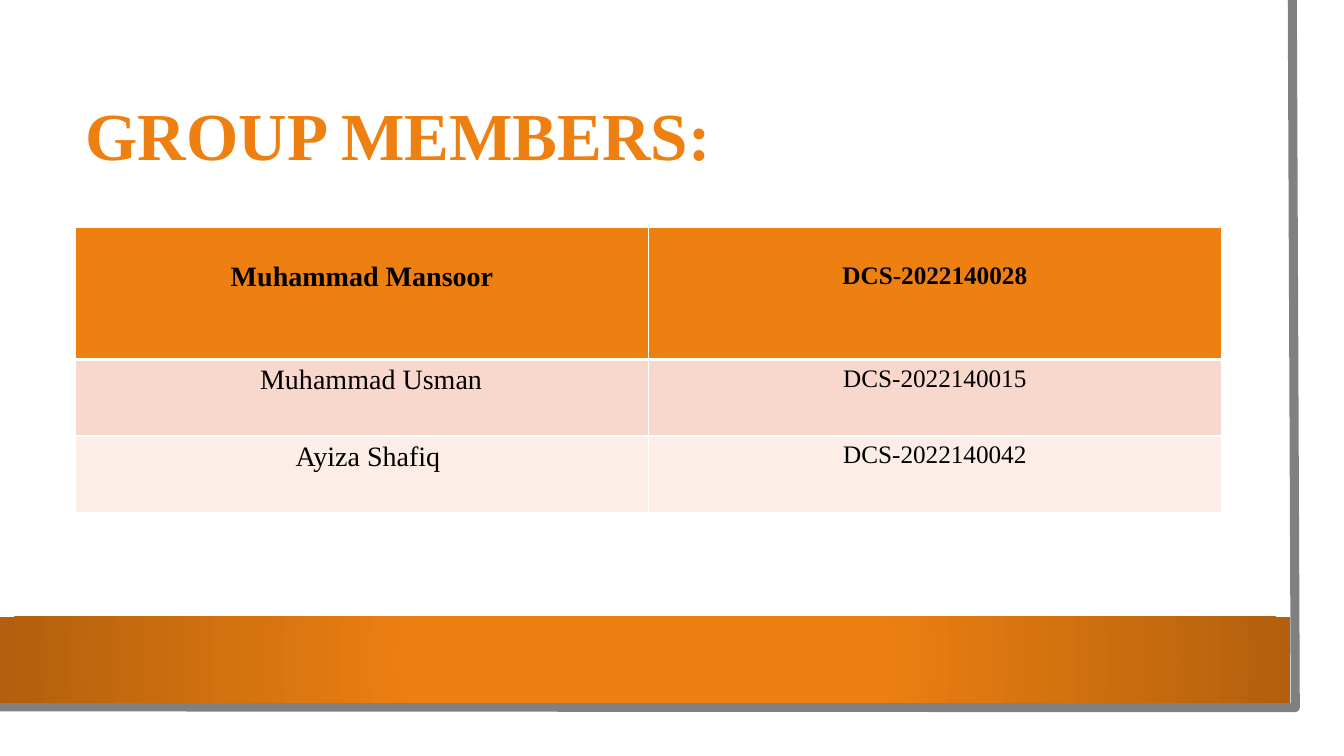
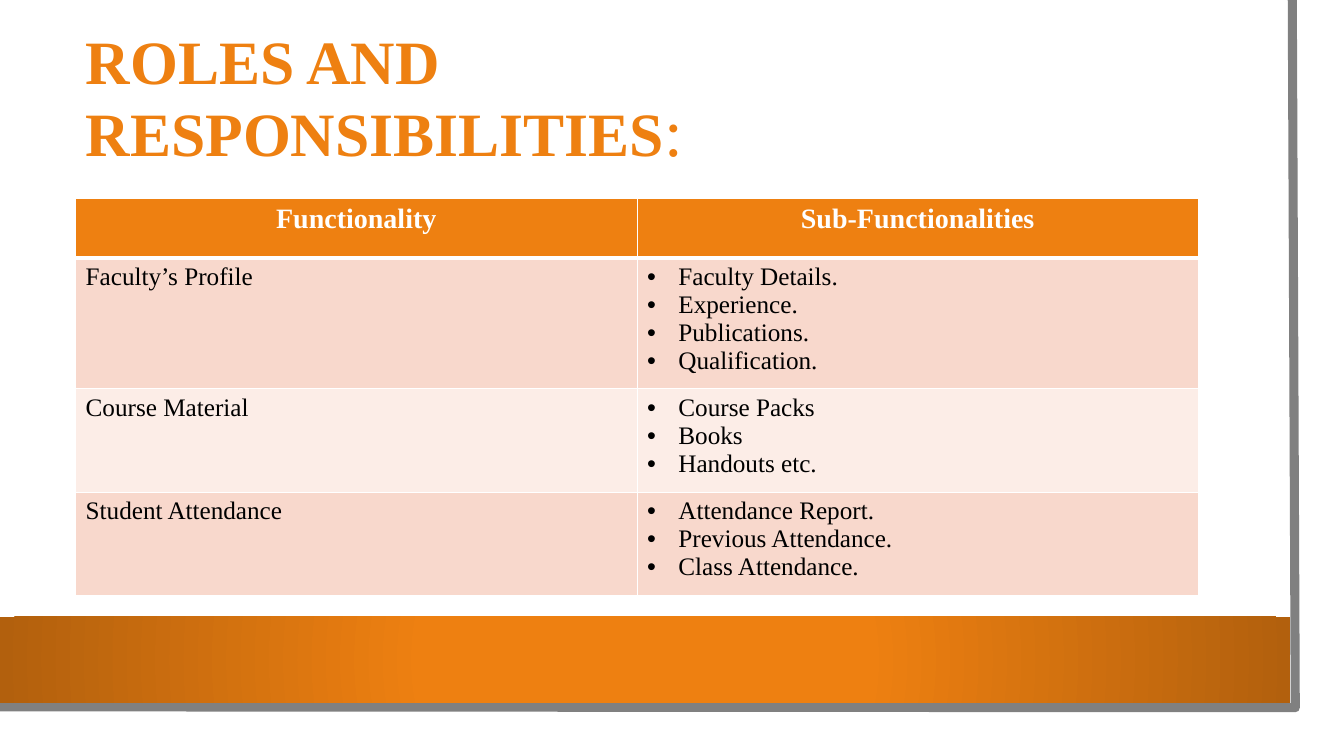
from dataclasses import dataclass

from pptx import Presentation
from pptx.dml.color import RGBColor
from pptx.enum.shapes import MSO_SHAPE
from pptx.enum.text import MSO_ANCHOR, MSO_AUTO_SIZE, PP_ALIGN
from pptx.oxml import parse_xml
from pptx.util import Emu, Inches, Pt

NS = 'xmlns:a="http://schemas.openxmlformats.org/drawingml/2006/main"'
COLS, ROWS = 160, 90  # grid cells across and down the slide
CELL = Inches(1) // 12
TITLE_ONLY = 5


@dataclass(frozen=True)
class Theme:
    font: str = "Times New Roman"
    accent: str = "EE8011"
    accent_dark: str = "B2600D"
    frame: str = "808080"
    white: str = "FFFFFF"
    black: str = "000000"
    stripes: tuple = ("F8D8CC", "FCEDE7")
    title: float = 48
    title_small: float = 44
    large: float = 20
    body: float = 18


@dataclass(frozen=True)
class Cell:
    lines: tuple
    size: float
    color: str = Theme.black
    bold: bool = False
    centred: bool = False
    bulleted: bool = False
    left: float = 0.1  # margins in inches
    top: float = 0.05


def grid(n):
    return Emu(round(n * CELL))


def rgb(color):
    return RGBColor.from_string(color)


class Deck:
    def __init__(self, theme):
        self.theme = theme
        self.prs = Presentation()
        self.prs.slide_width, self.prs.slide_height = grid(COLS), grid(ROWS)
        self.layout = self.prs.slide_layouts[TITLE_ONLY]
        self.s = None

    def slide(self):
        self.s = self.prs.slides.add_slide(self.layout)
        if len(self.prs.slides) == 1:
            self.decorate_layout()

    def decorate_layout(self):
        """Draw the frame and band once and hand them to the layout."""
        for i, sp in enumerate((self.frame(), self.band())):
            self.layout.shapes.element.insert(2 + i, sp.element)

    def frame(self):
        fb = self.s.shapes.build_freeform(grid(153.85), 0)
        fb.add_line_segments([(grid(154.2), grid(84.25)), (0, grid(84.15))],
                             close=False)
        sp = fb.convert_to_shape()
        sp.shadow.inherit = False
        sp.fill.background()
        sp.line.color.rgb = rgb(self.theme.frame)
        sp.line.width = Pt(6.5)
        return sp

    def band(self):
        sp = self.s.shapes.add_shape(MSO_SHAPE.RECTANGLE, 0, grid(73.45),
                                     grid(153.6), grid(10.2))
        sp.shadow.inherit = False
        sp.line.fill.background()
        # Radial gradient, bright in the middle
        stops = "".join(
            f'<a:gs pos="{pos}000"><a:srgbClr val="{color}"/></a:gs>'
            for pos, color in ((34, self.theme.accent),
                               (100, self.theme.accent_dark)))
        gradient = parse_xml(
            f'<a:gradFill {NS} rotWithShape="1"><a:gsLst>{stops}</a:gsLst>'
            '<a:path path="circle"><a:fillToRect l="50000" t="50000" '
            'r="50000" b="50000"/></a:path></a:gradFill>')
        pr = sp.element.spPr
        pr.insert(pr.index(pr.prstGeom) + 1, gradient)
        return sp

    def run(self, p, text, size, color, bold):
        r = p.add_run()
        r.text = text
        r.font.name = self.theme.font
        r.font.size = Pt(size)
        r.font.bold = bold
        r.font.color.rgb = rgb(color)

    def title(self, runs, top, width):
        sp = self.s.shapes.title
        sp.left, sp.top = grid(9), grid(top)
        sp.width, sp.height = grid(width), grid(15.1)
        tf = sp.text_frame
        tf.word_wrap = True
        tf.auto_size = MSO_AUTO_SIZE.NONE
        tf.vertical_anchor = MSO_ANCHOR.MIDDLE
        p = tf.paragraphs[0]
        p.alignment = PP_ALIGN.LEFT
        p.line_spacing = 0.9
        for text, size, bold in runs:
            self.run(p, text, size, self.theme.accent, bold)

    def table(self, top, width, heights, rows):
        columns = len(rows[0])
        table = self.s.shapes.add_table(
            len(rows), columns, grid(9), grid(top),
            grid(width), grid(sum(heights))).table
        for column in table.columns:
            column.width = grid(width / columns)
        for i, row in enumerate(rows):
            table.rows[i].height = grid(heights[i])
            for j, content in enumerate(row):
                tc = table.cell(i, j)
                self.borders(tc, i)
                tc.fill.solid()
                tc.fill.fore_color.rgb = rgb(
                    self.theme.stripes[(i - 1) % 2] if i else self.theme.accent)
                self.fill_cell(tc, content)

    def borders(self, tc, row):
        # The rule under the header row is heavier
        widths = {"L": 1, "R": 1, "T": 3 if row == 1 else 1,
                  "B": 3 if row == 0 else 1}
        pr = tc._tc.get_or_add_tcPr()
        for side, width in widths.items():
            pr.append(parse_xml(
                f'<a:ln{side} {NS} w="{Pt(width)}"><a:solidFill>'
                f'<a:srgbClr val="{self.theme.white}"/></a:solidFill>'
                f'</a:ln{side}>'))

    def fill_cell(self, tc, content):
        tc.margin_left, tc.margin_top = Inches(content.left), Inches(content.top)
        tf = tc.text_frame
        for i, line in enumerate(content.lines):
            p = tf.add_paragraph() if i else tf.paragraphs[0]
            p.alignment = PP_ALIGN.CENTER if content.centred else PP_ALIGN.LEFT
            if content.bulleted:
                self.bullet(p)
            self.run(p, line, content.size, content.color, content.bold)

    def bullet(self, p):
        pr = p._p.get_or_add_pPr()
        pr.set("marL", str(Inches(0.31)))
        pr.set("indent", str(-Inches(0.31)))
        pr.append(parse_xml(f'<a:buFont {NS} typeface="Arial"/>'))
        pr.append(parse_xml(f'<a:buChar {NS} char="•"/>'))


def main():
    theme = Theme()
    deck = Deck(theme)

    # Group members
    deck.slide()
    deck.title([("GROUP MEMBERS:", theme.title, True)], top=9, width=136.4)
    members = [("Muhammad Mansoor", "DCS-2022140028", 0.1),
               ("Muhammad Usman", "DCS-2022140015", 0.28),
               ("Ayiza Shafiq", "DCS-2022140042", 0.22)]
    rows = []
    for i, (name, number, left) in enumerate(members):
        style = dict(centred=True, bold=i == 0, top=0.05 if i else 0.34)
        rows.append((Cell((name,), theme.large, left=left, **style),
                     Cell((number,), theme.body, **style)))
    deck.table(27.1, 136.4, (15.7, 9.1, 9.1), rows)

    # Roles and responsibilities
    deck.slide()
    deck.title([("ROLES AND RESPONSIBILITIES", theme.title_small, True),
                (":", theme.title, False)], top=4.5, width=114)
    roles = [
        ("Faculty’s Profile", ("Faculty Details.", "Experience.",
                               "Publications.", "Qualification.")),
        ("Course Material", ("Course Packs", "Books", "Handouts etc.")),
        ("Student Attendance", ("Attendance Report.", "Previous Attendance.",
                                "Class Attendance.")),
    ]
    rows = [[Cell((head,), theme.large, theme.white, bold=True, centred=True)
             for head in ("Functionality", "Sub-Functionalities")]]
    rows += [(Cell((role,), theme.body), Cell(parts, theme.body, bulleted=True))
             for role, parts in roles]
    deck.table(23.6, 133.7, (7.1, 15.6, 12.3, 12.3), rows)

    deck.prs.save("out.pptx")


if __name__ == "__main__":
    main()
